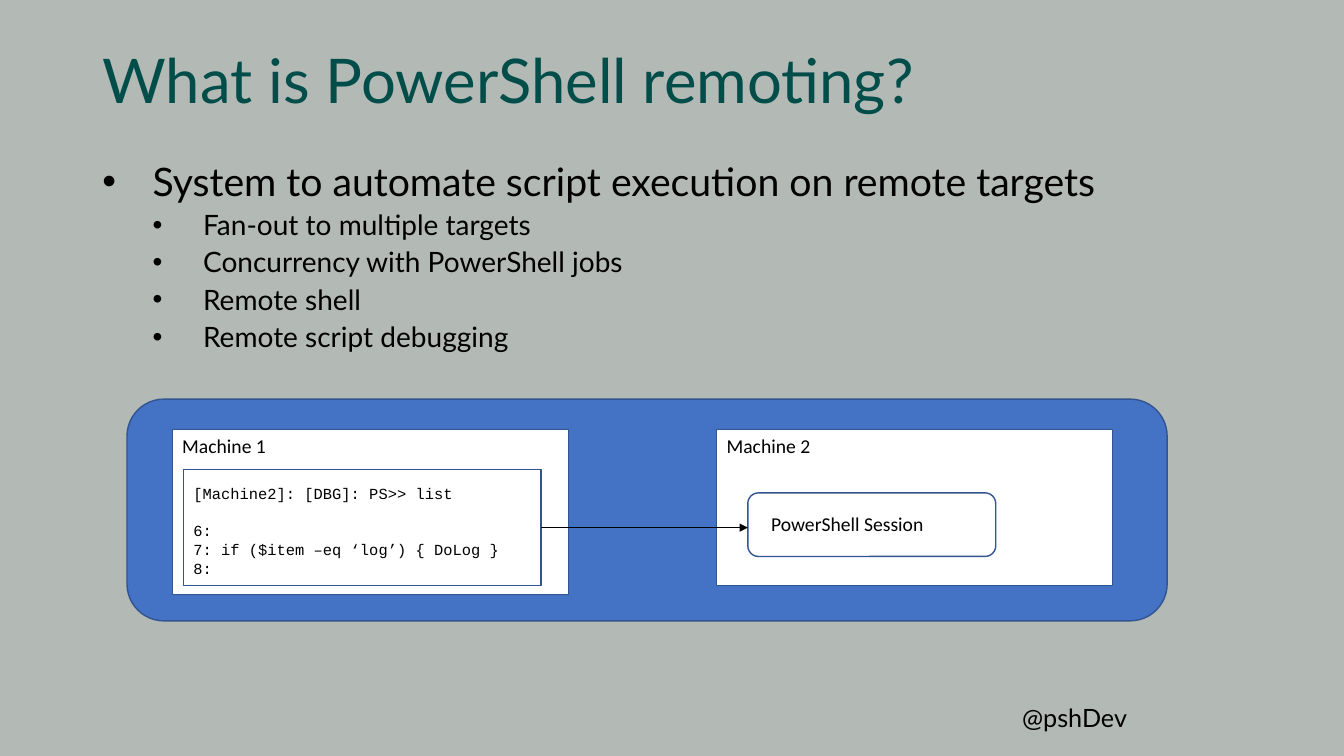
from lxml import etree
from pptx import Presentation
from pptx.dml.color import RGBColor
from pptx.enum.shapes import MSO_CONNECTOR, MSO_SHAPE
from pptx.enum.text import MSO_ANCHOR, PP_ALIGN
from pptx.oxml.ns import qn
from pptx.util import Pt

RECTANGLE, ROUNDED = MSO_SHAPE.RECTANGLE, MSO_SHAPE.ROUNDED_RECTANGLE
TOP, MIDDLE = MSO_ANCHOR.TOP, MSO_ANCHOR.MIDDLE
LEFT = PP_ALIGN.LEFT
COLOURS = {"background": "B3B9B5", "title": "004D49", "panel": "4472C4",
           "outline": "325491", "white": "FFFFFF", "black": "000000"}


def colour(name):
    return RGBColor.from_string(COLOURS[name])


def write(shape, lines, font, size, anchor, ink="black"):
    frame = shape.text_frame
    frame.word_wrap = True
    frame.vertical_anchor = anchor
    frame.text = "\n".join(lines)
    for para in frame.paragraphs:
        para.alignment = LEFT
        for span in para.runs:
            span.font.name = font
            span.font.size = Pt(size)
            span.font.color.rgb = colour(ink)
    return frame


deck = Presentation()
deck.slide_width, deck.slide_height = Pt(960), Pt(540)
page = deck.slides.add_slide(deck.slide_layouts[5])
page.background.fill.solid()
page.background.fill.fore_color.rgb = colour("background")

# Title
title = page.shapes.title
title.left, title.top, title.width, title.height = Pt(66), Pt(28.8), Pt(828), Pt(61.2)
frame = write(title, ["What is PowerShell remoting?"], "Lato", 44, MIDDLE, "title")
frame.paragraphs[0].line_spacing = 0.9

# Bullet list: one main point, the rest a level below
points = ["System to automate script execution on remote targets",
          "Fan-out to multiple targets",
          "Concurrency with PowerShell jobs",
          "Remote shell",
          "Remote script debugging"]
body = page.shapes.add_textbox(Pt(66), Pt(112.3), Pt(828), Pt(374.4))
frame = write(body, points, "Lato", 20, TOP)
frame.paragraphs[0].runs[0].font.size = Pt(28)
for number, para in enumerate(frame.paragraphs):
    para.level = min(number, 1)
    para.line_spacing = 0.9
    para.space_before = Pt(5 if para.level else 10)
    properties = para._p.get_or_add_pPr()
    properties.set("marL", str(Pt(36 * (para.level + 1))))
    properties.set("indent", str(Pt(-36)))
    etree.SubElement(properties, qn("a:buFont")).set("typeface", "Arial")
    etree.SubElement(properties, qn("a:buChar")).set("char", "•")

# Handle
handle = page.shapes.add_textbox(Pt(723), Pt(498.2), Pt(171.4), Pt(28.8))
write(handle, ["@pshDev"], "Lato", 18, MIDDLE)

# Diagram boxes, from back to front
code = ["[Machine2]: [DBG]: PS>> list",
        "6:",
        "7: if ($item –eq ‘log’) { DoLog }",
        "8:"]
boxes = [
    ("panel", ROUNDED, (90.7, 285.1, 743, 158.4), "panel", [], "Calibri", 14, TOP),
    ("machine 1", RECTANGLE, (123.1, 306.7, 283, 118.1), "white",
     ["Machine 1"], "Calibri", 14, TOP),
    ("machine 2", RECTANGLE, (511.9, 306.7, 283, 111.6), "white",
     ["Machine 2"], "Calibri", 14, TOP),
    ("code", RECTANGLE, (131, 335.5, 255.6, 82.8), "white",
     code, "Courier New", 11, TOP),
    ("session", ROUNDED, (534.2, 352.1, 177.1, 45.4), "white",
     ["PowerShell Session"], "Calibri", 14, MIDDLE),
]
diagram = {}
for name, kind, place, fill, lines, font, size, anchor in boxes:
    box = page.shapes.add_shape(kind, *[Pt(length) for length in place])
    box.shadow.inherit = False
    box.fill.solid()
    box.fill.fore_color.rgb = colour(fill)
    box.line.color.rgb = colour("outline")
    box.line.width = Pt(1)
    write(box, lines, font, size, anchor)
    diagram[name] = box

# Code listing: even line pitch, with a one-line gap under the prompt
listing = diagram["code"].text_frame
listing.margin_top = Pt(10)
for para in listing.paragraphs:
    para.line_spacing = Pt(13.4)
listing.paragraphs[1].space_before = Pt(13.4)

diagram["session"].text_frame.margin_left = Pt(14.4)
diagram["session"].text_frame.margin_bottom = Pt(5.6)

# Arrow from the listing to the session
arrow = page.shapes.add_connector(MSO_CONNECTOR.STRAIGHT, Pt(386.6), Pt(376.9),
                                  Pt(534.2), Pt(376.9))
arrow.begin_connect(diagram["code"], 3)
arrow.line.color.rgb = colour("black")
arrow.line.width = Pt(0.5)
etree.SubElement(arrow.line._get_or_add_ln(), qn("a:tailEnd")).set("type", "triangle")
etree.SubElement(arrow._element.spPr, qn("a:effectLst"))

deck.save("out.pptx")
